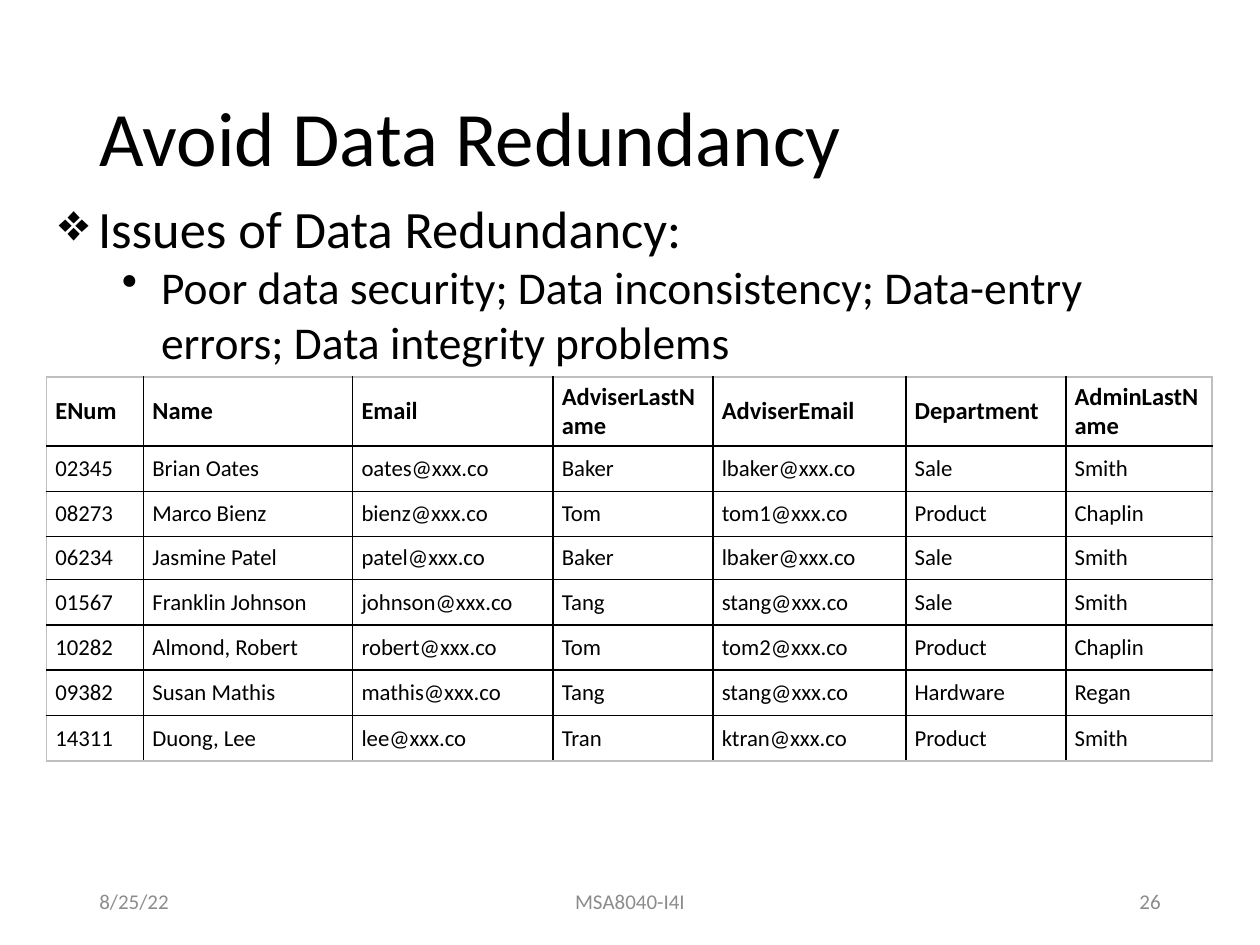
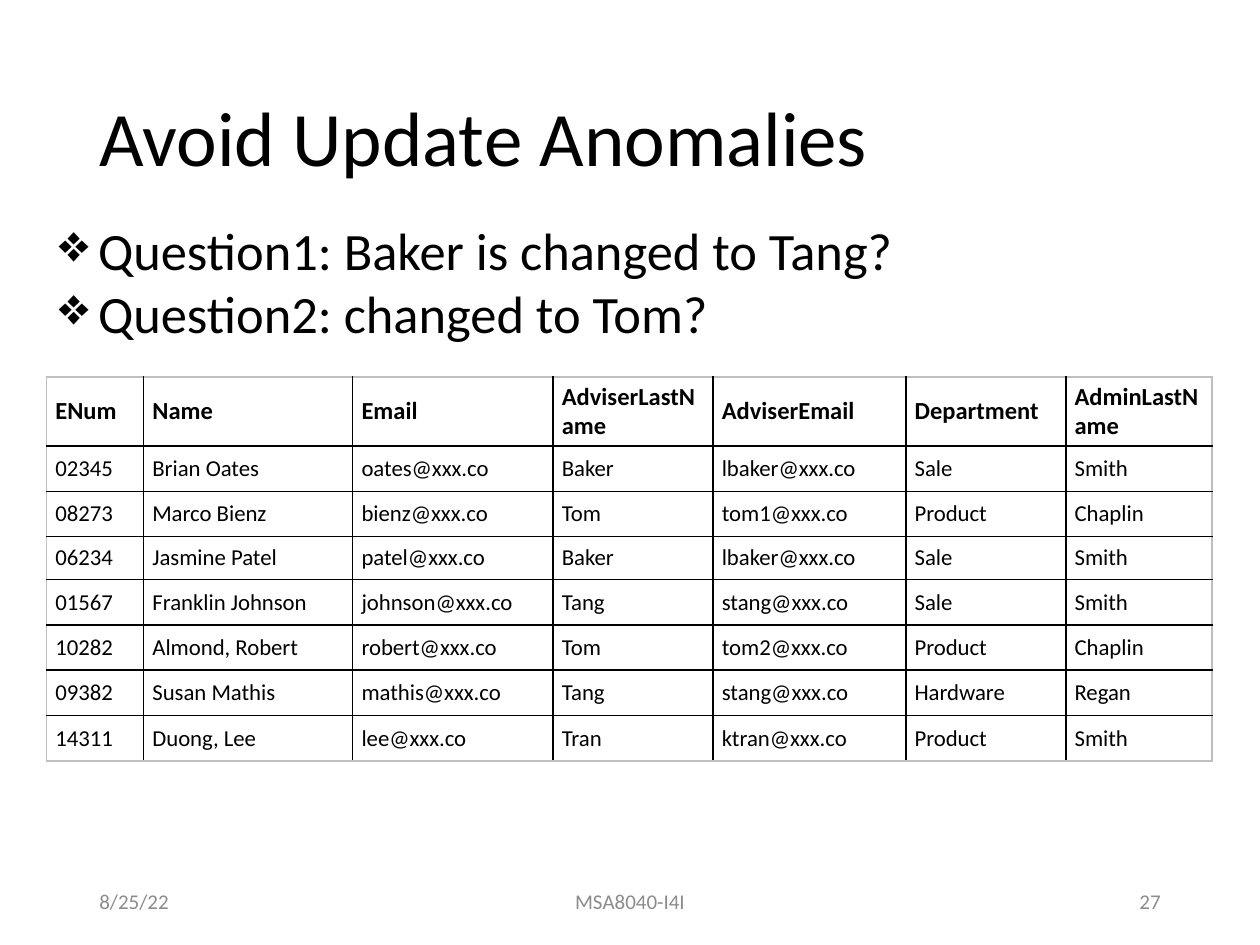
from dataclasses import dataclass

from pptx import Presentation
from pptx.dml.color import RGBColor
from pptx.enum.text import MSO_ANCHOR, PP_ALIGN
from pptx.oxml.ns import qn
from pptx.slide import Slide
from pptx.table import Table
from pptx.text.text import TextFrame, _Paragraph
from pptx.util import Inches, Pt
from lxml import etree

LEFT, CENTER, RIGHT = PP_ALIGN.LEFT, PP_ALIGN.CENTER, PP_ALIGN.RIGHT
TOP, MIDDLE = MSO_ANCHOR.TOP, MSO_ANCHOR.MIDDLE

FONT = "Calibri"
COLORS = {"text": "000000", "footer": "8C8C8C", "grid": "000000", "frame": "BFBFBF"}

MARGIN, CONTENT_WIDTH = 0.37, 9.26
TITLE_BOX = (0.69, 0.4, 8.62, 1.45)
TABLE_TOP = 2.99
COL_WIDTHS = [0.77, 1.66, 1.59, 1.27, 1.53, 1.27, 1.16]
ROW_HEIGHTS = [0.55, 0.36, 0.36, 0.34, 0.36, 0.36, 0.36, 0.36]
EMPLOYEES = [
    ("ENum", "Name", "Email", "AdviserLastName", "AdviserEmail", "Department", "AdminLastName"),
    ("02345", "Brian Oates", "oates@xxx.co", "Baker", "lbaker@xxx.co", "Sale", "Smith"),
    ("08273", "Marco Bienz", "bienz@xxx.co", "Tom", "tom1@xxx.co", "Product", "Chaplin"),
    ("06234", "Jasmine Patel", "patel@xxx.co", "Baker", "lbaker@xxx.co", "Sale", "Smith"),
    ("01567", "Franklin Johnson", "johnson@xxx.co", "Tang", "stang@xxx.co", "Sale", "Smith"),
    ("10282", "Almond, Robert", "robert@xxx.co", "Tom", "tom2@xxx.co", "Product", "Chaplin"),
    ("09382", "Susan Mathis", "mathis@xxx.co", "Tang", "stang@xxx.co", "Hardware", "Regan"),
    ("14311", "Duong, Lee", "lee@xxx.co", "Tran", "ktran@xxx.co", "Product", "Smith"),
]


@dataclass(frozen=True)
class BulletStyle:
    mark: str
    size: int
    indent: float


@dataclass(frozen=True)
class Footer:
    left: float
    width: float
    align: PP_ALIGN
    text: str


@dataclass(frozen=True)
class Page:
    number: int
    title: str
    body_top: float
    body_height: float
    bullets: list[tuple[int, str]]


BULLETS = [BulletStyle("❖", 30, 0.31), BulletStyle("•", 26, 0.81)]
HANGING = 0.31

PAGES = [
    Page(26, "Avoid Data Redundancy", 1.51, 1.48, [
        (0, "Issues of Data Redundancy:"),
        (1, "Poor data security; Data inconsistency; Data-entry errors; "
            "Data integrity problems"),
    ]),
    Page(27, "Avoid Update Anomalies", 1.68, 1.11, [
        (0, "Question1: Baker is changed to Tang?"),
        (0, "Question2: changed to Tom?"),
    ]),
]


def set_text(p: _Paragraph, text: str, size: float, color: str = "text",
             bold: bool = False) -> None:
    p.text = text
    p.font.name, p.font.size, p.font.bold = FONT, Pt(size), bold
    p.font.color.rgb = RGBColor.from_string(COLORS[color])


def add_text_frame(s: Slide, left: float, top: float, width: float, height: float,
                   anchor: MSO_ANCHOR = MIDDLE) -> TextFrame:
    box = s.shapes.add_textbox(Inches(left), Inches(top), Inches(width), Inches(height))
    tf = box.text_frame
    tf.word_wrap = True
    tf.vertical_anchor = anchor
    return tf


def add_title(s: Slide, title: str) -> None:
    p = add_text_frame(s, *TITLE_BOX).paragraphs[0]
    set_text(p, title, 44)
    p.line_spacing = 0.9


def add_bullets(s: Slide, page: Page) -> None:
    tf = add_text_frame(s, MARGIN, page.body_top, CONTENT_WIDTH, page.body_height, TOP)
    for i, (level, text) in enumerate(page.bullets):
        style = BULLETS[level]
        p = tf.add_paragraph() if i else tf.paragraphs[0]
        set_text(p, text, style.size)
        p.level = level
        pPr = p._p.get_or_add_pPr()
        pPr.set("marL", str(Inches(style.indent)))
        pPr.set("indent", str(-Inches(HANGING)))
        bullet = etree.Element(qn("a:buChar"), char=style.mark)
        pPr.insert_element_before(bullet, "a:tabLst", "a:defRPr", "a:extLst")


def add_borders(table: Table) -> None:
    """Rule the grid in black and the outer frame in grey."""
    last_row, last_col = len(table.rows) - 1, len(table.columns) - 1
    for r in range(last_row + 1):
        for c in range(last_col + 1):
            tcPr = table.cell(r, c)._tc.get_or_add_tcPr()
            outer_edges = {"lnL": c == 0, "lnR": c == last_col,
                           "lnT": r == 0, "lnB": r == last_row}
            for i, (edge, is_outer) in enumerate(outer_edges.items()):
                line = etree.Element(qn(f"a:{edge}"), w=str(Pt(1)))
                fill = etree.SubElement(line, qn("a:solidFill"))
                color = COLORS["frame" if is_outer else "grid"]
                etree.SubElement(fill, qn("a:srgbClr"), val=color)
                tcPr.insert(i, line)


def add_employee_table(s: Slide) -> None:
    frame = s.shapes.add_table(len(EMPLOYEES), len(COL_WIDTHS), Inches(MARGIN),
                               Inches(TABLE_TOP), Inches(CONTENT_WIDTH),
                               Inches(sum(ROW_HEIGHTS)))
    table = frame.table
    table.first_row = table.horz_banding = False
    for column, width in zip(table.columns, COL_WIDTHS):
        column.width = Inches(width)
    for r, (height, values) in enumerate(zip(ROW_HEIGHTS, EMPLOYEES)):
        table.rows[r].height = Inches(height)
        is_header = r == 0
        for c, value in enumerate(values):
            cell = table.cell(r, c)
            cell.fill.background()
            cell.vertical_anchor = MIDDLE
            cell.margin_left = cell.margin_right = Inches(0.07)
            cell.margin_top = cell.margin_bottom = Inches(0.04)
            set_text(cell.text_frame.paragraphs[0], value,
                     14 if is_header else 13, bold=is_header)
    add_borders(table)


def add_footers(s: Slide, number: int) -> None:
    footers = [
        Footer(0.69, 2.25, LEFT, "8/25/22"),
        Footer(3.31, 3.38, CENTER, "MSA8040-I4I"),
        Footer(7.06, 2.25, RIGHT, str(number)),
    ]
    for footer in footers:
        p = add_text_frame(s, footer.left, 6.95, footer.width, 0.4).paragraphs[0]
        set_text(p, footer.text, 12, "footer")
        p.alignment = footer.align


def main() -> None:
    prs = Presentation()
    prs.slide_width, prs.slide_height = Inches(10), Inches(7.5)
    for page in PAGES:
        s = prs.slides.add_slide(prs.slide_layouts[6])
        add_title(s, page.title)
        add_footers(s, page.number)
        add_employee_table(s)
        add_bullets(s, page)
    prs.save("out.pptx")


if __name__ == "__main__":
    main()
